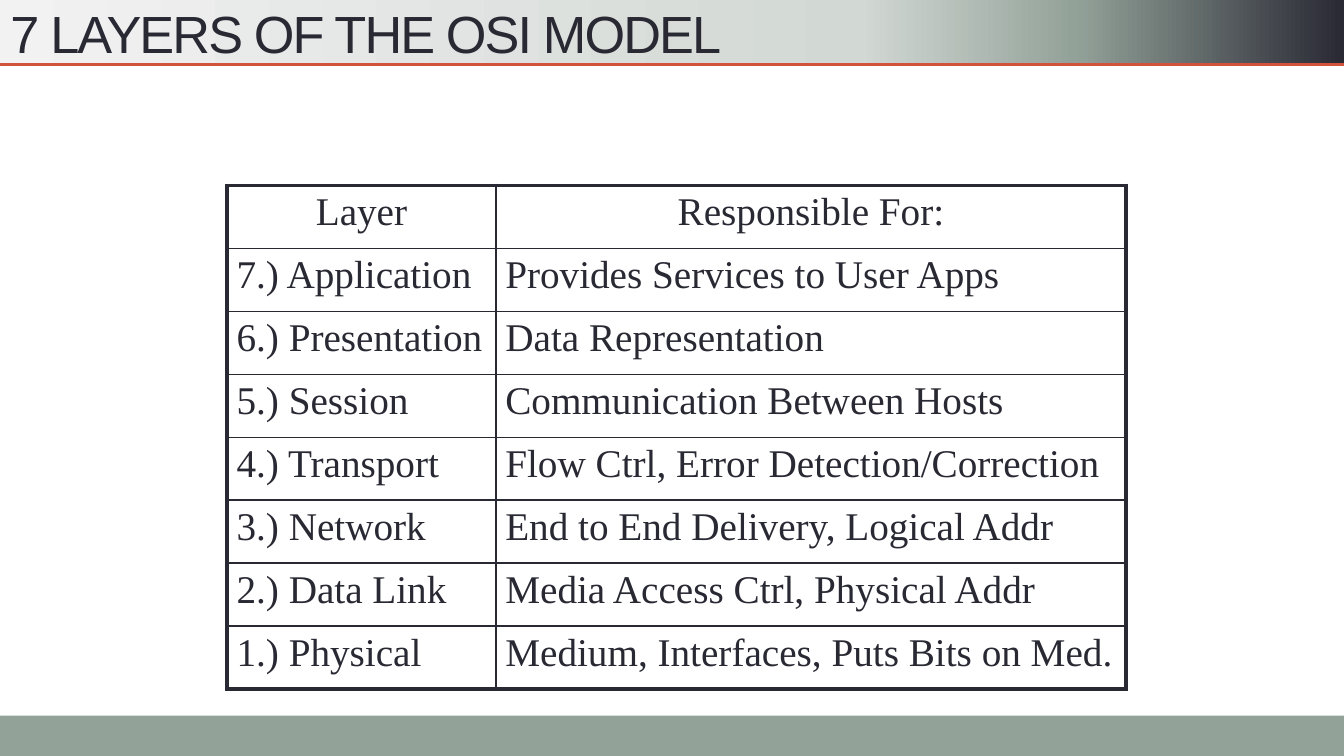
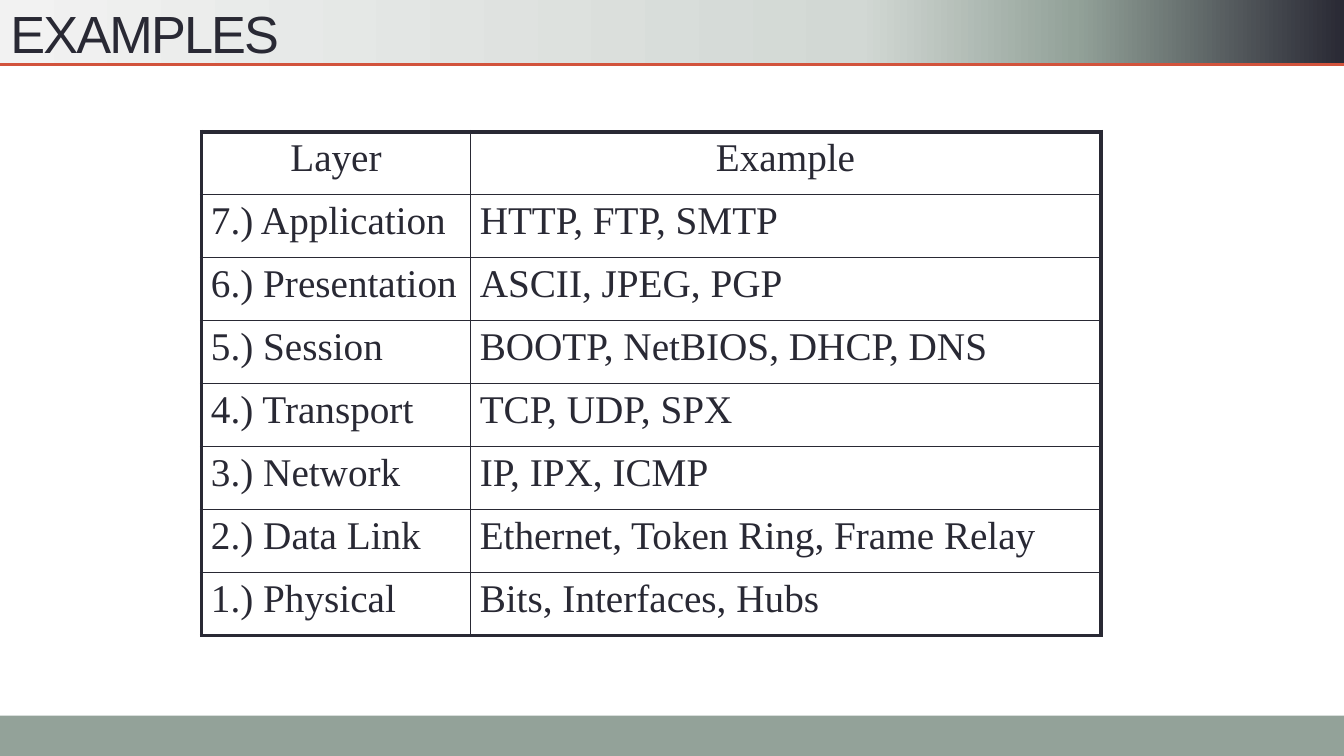
"""Build two slides on the seven layers of the OSI model."""
from dataclasses import dataclass

from lxml import etree
from pptx import Presentation, util as u
from pptx.dml.color import RGBColor
from pptx.enum import shapes, text
from pptx.oxml import ns

LAYERS = ["Application", "Presentation", "Session", "Transport",
          "Network", "Data Link", "Physical"]

SLIDES = [
    {"title": "7 LAYERS OF THE OSI MODEL", "head": "Responsible For:",
     "spot": (1.69, 1.38),
     "facts": ["Provides Services to User Apps",
               "Data Representation",
               "Communication Between Hosts",
               "Flow Ctrl, Error Detection/Correction",
               "End to End Delivery, Logical Addr",
               "Media Access Ctrl, Physical Addr",
               "Medium, Interfaces, Puts Bits on Med."]},
    {"title": "EXAMPLES", "head": "Example",
     "spot": (1.5, 0.98),
     "facts": ["HTTP, FTP, SMTP",
               "ASCII, JPEG, PGP",
               "BOOTP, NetBIOS, DHCP, DNS",
               "TCP, UDP, SPX",
               "IP, IPX, ICMP",
               "Ethernet, Token Ring, Frame Relay",
               "Bits, Interfaces, Hubs"]},
]


@dataclass(frozen=True)
class Theme:
    ink: str = "292934"
    sage: str = "93A299"
    rust: str = "D2533C"
    fade: tuple = ((0, "F2F2F2"), (64, "D2D8D4"), (80, "93A299"), (100, "292934"))
    sans: str = "Arial"
    serif: str = "Times New Roman"
    big: int = 28
    body: int = 21
    rule: float = 1.5
    thick: float = 2.25
    thin: float = 1


T = Theme()
WIDE = 10
HIGH = WIDE * 9 / 16
BAND, FOOT = 0.48, 0.3
COLS, TALL = (2, 4.69), 3.75


def inches(*vals):
    return [u.Inches(v) for v in vals]


def sub(node, tag, **attrs):
    return etree.SubElement(node, ns.qn(tag), **attrs)


def style(para, face, size):
    para.font.name, para.font.size = face, u.Pt(size)
    para.font.color.rgb = RGBColor.from_string(T.ink)


def bar(slide, top, high):
    box = slide.shapes.add_shape(shapes.MSO_SHAPE.RECTANGLE,
                                 *inches(0, top, WIDE, high))
    box.shadow.inherit = False
    box.line.fill.background()
    return box


def frame(slide, title):
    foot = bar(slide, HIGH - FOOT, FOOT)
    foot.fill.solid()
    foot.fill.fore_color.rgb = RGBColor.from_string(T.sage)

    band = bar(slide, 0, BAND)
    band.fill.gradient()
    band.fill.gradient_angle = 0
    stops = band.element.spPr.find(".//" + ns.qn("a:gsLst"))
    stops.clear()
    for pos, tint in T.fade:
        stop = sub(stops, "a:gs", pos=str(pos * 1000))
        sub(stop, "a:srgbClr", val=tint)

    rule = slide.shapes.add_connector(shapes.MSO_CONNECTOR.STRAIGHT,
                                      *inches(0, BAND, WIDE, BAND))
    rule.line.color.rgb = RGBColor.from_string(T.rust)
    rule.line.width = u.Pt(T.rule)
    sub(rule.element.spPr, "a:effectLst")

    body = slide.shapes.add_textbox(*inches(-0.02, 0.01, 9, 0.47)).text_frame
    body.word_wrap = True
    body.vertical_anchor = text.MSO_ANCHOR.MIDDLE
    para = body.paragraphs[0]
    run = para.add_run()
    run.text = title
    style(para, T.sans, T.big)
    run.font._element.set("spc", "-100")


def edge(cell, sides):
    props = cell._tc.get_or_add_tcPr()
    for side, outer in sides.items():
        width = u.Pt(T.thick if outer else T.thin)
        line = sub(props, "a:ln" + side, w=str(int(width)))
        sub(sub(line, "a:solidFill"), "a:srgbClr", val=T.ink)


def grid(slide, spot, rows):
    shape = slide.shapes.add_table(len(rows), len(COLS), *inches(
        *spot, sum(COLS), TALL))
    table = shape.table
    table.first_row = table.horz_banding = False
    for col, wide in zip(table.columns, COLS):
        col.width = u.Inches(wide)
    for r, row in enumerate(rows):
        for c, words in enumerate(row):
            cell = table.cell(r, c)
            cell.text = words
            cell.margin_left = cell.margin_right = u.Inches(0.07)
            cell.margin_top = cell.margin_bottom = u.Inches(0.04)
            edge(cell, {"L": c == 0, "R": c == len(COLS) - 1,
                        "T": r == 0, "B": r == len(rows) - 1})
            cell.fill.background()
            para = cell.text_frame.paragraphs[0]
            style(para, T.serif, T.body)
            if r == 0:
                para.alignment = text.PP_ALIGN.CENTER


def main():
    deck = Presentation()
    deck.slide_width, deck.slide_height = inches(WIDE, HIGH)
    names = [f"{len(LAYERS) - i}.) {name}" for i, name in enumerate(LAYERS)]
    for page in SLIDES:
        slide = deck.slides.add_slide(deck.slide_layouts[6])
        frame(slide, page["title"])
        grid(slide, page["spot"],
             [("Layer", page["head"]), *zip(names, page["facts"])])
    deck.save("out.pptx")


if __name__ == "__main__":
    main()
